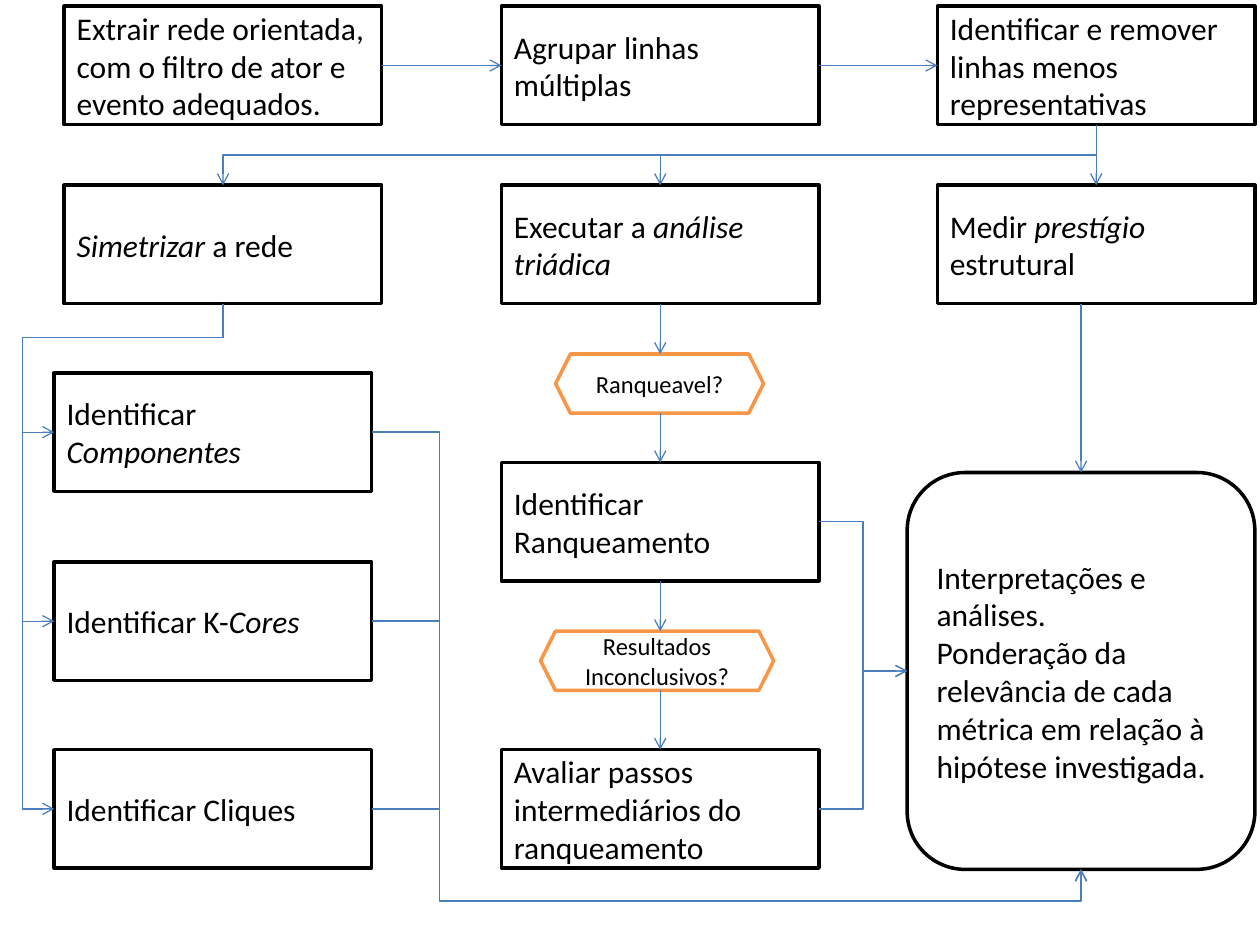
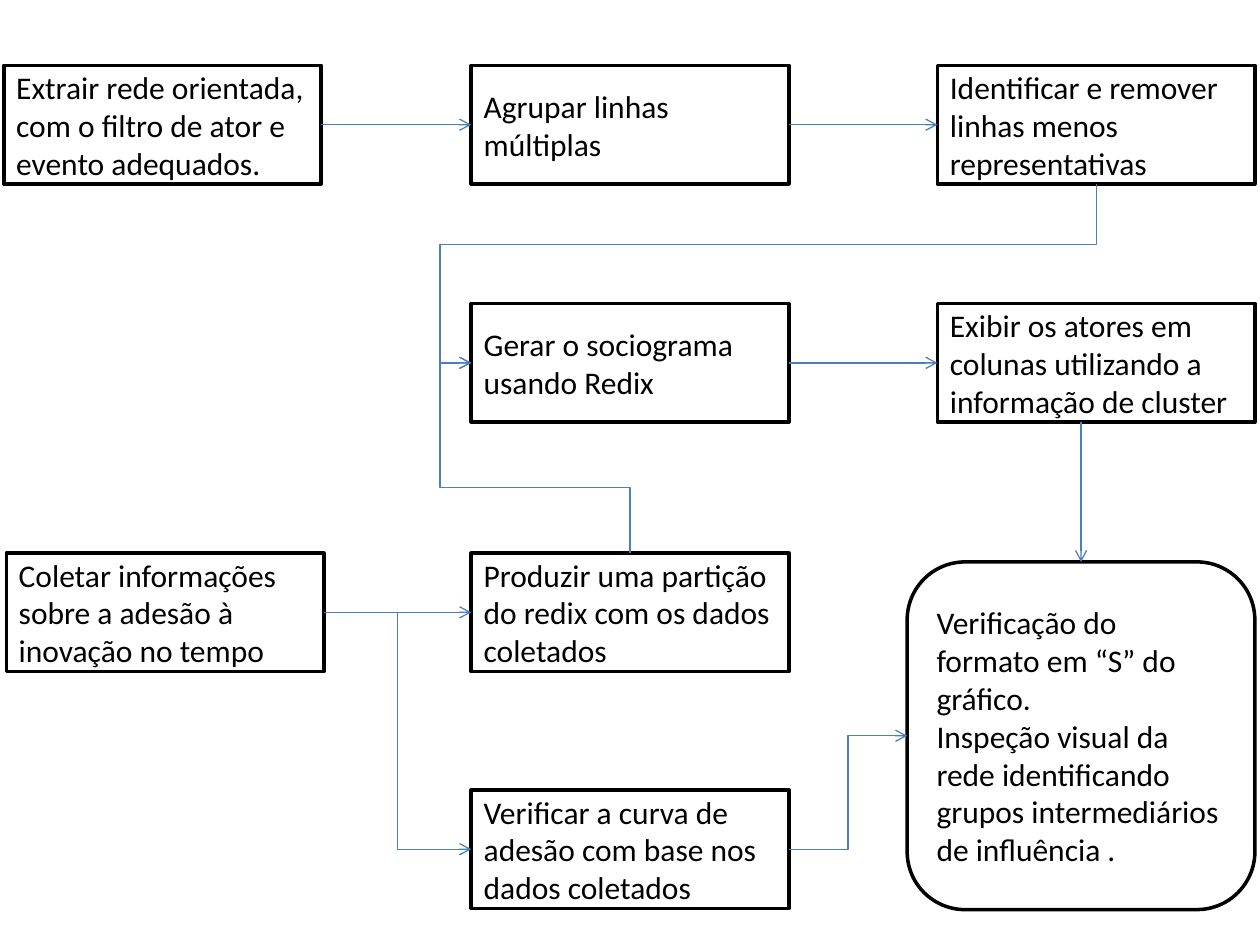
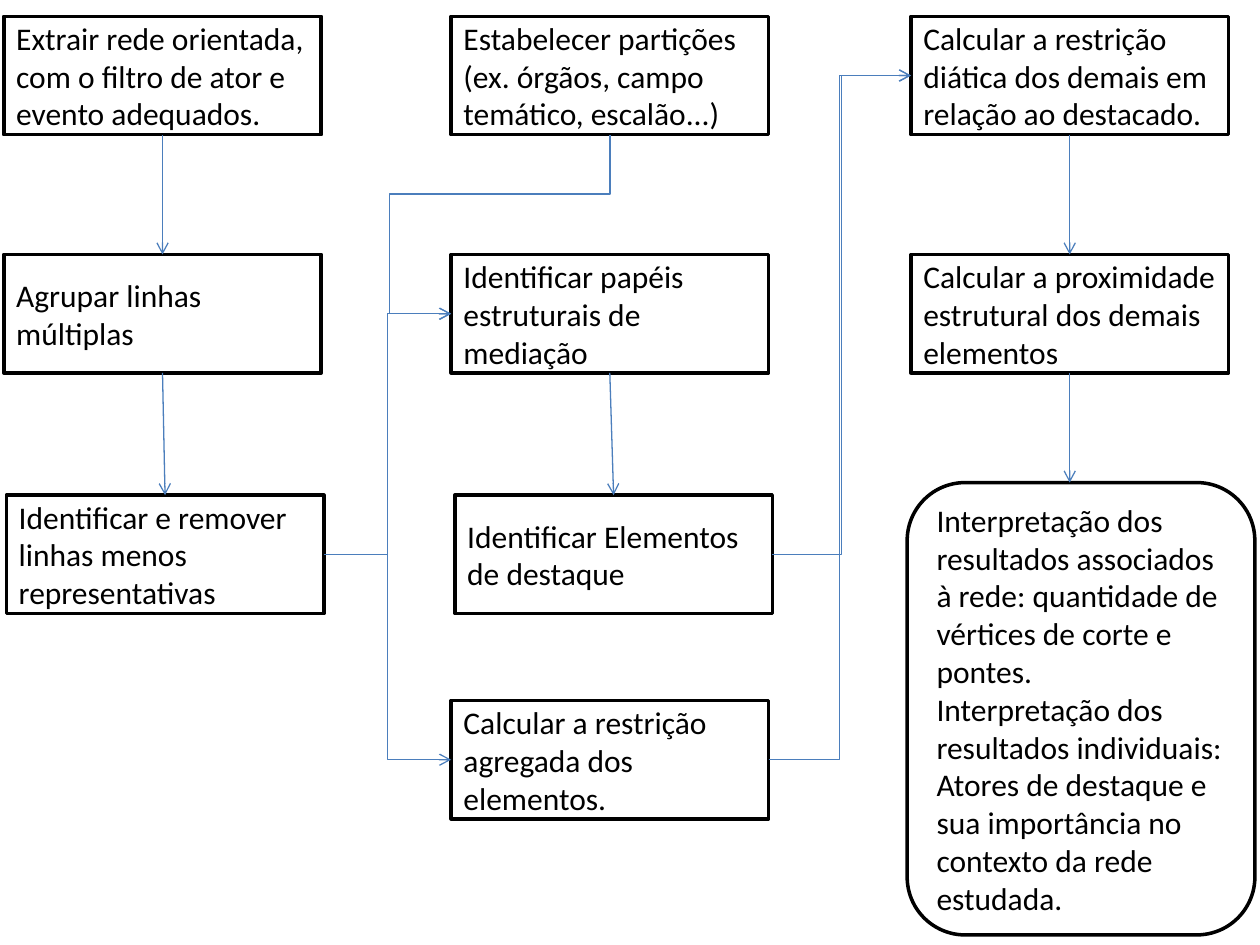
from dataclasses import dataclass
from enum import IntEnum
from typing import Optional

from lxml import etree
from pptx import Presentation
from pptx.dml.color import RGBColor
from pptx.enum import shapes, text
from pptx.oxml.ns import qn
from pptx.util import Inches, Pt

COLORS = {"paper": "FFFFFF", "ink": "000000", "question": "F79646", "arrow": "4B7EBC"}
FONT = "Calibri"
STEP_WIDTH, STEP_HEIGHT = 2.52, 0.94
EXTRACT = "Extrair rede orientada, com o filtro de ator e evento adequados."
GROUP = "Agrupar linhas múltiplas "
PRUNE = "Identificar e remover linhas menos representativas"


class Side(IntEnum):
    TOP = 0
    LEFT = 1
    BOTTOM = 2
    RIGHT = 3


TOP, LEFT, BOTTOM, RIGHT = Side


@dataclass(frozen=True)
class Node:
    left: float
    top: float
    wording: str
    width: float = STEP_WIDTH
    height: float = STEP_HEIGHT
    outline: shapes.MSO_SHAPE = shapes.MSO_SHAPE.RECTANGLE
    border: str = "ink"
    size: int = 18
    align: text.PP_ALIGN = text.PP_ALIGN.LEFT

    @property
    def is_question(self) -> bool:
        return self.outline == shapes.MSO_SHAPE.HEXAGON

    def anchor(self, side: Side) -> tuple[float, float]:
        middle, centre = self.left + self.width / 2, self.top + self.height / 2
        return {
            TOP: (middle, self.top),
            LEFT: (self.left, centre),
            BOTTOM: (middle, self.top + self.height),
            RIGHT: (self.left + self.width, centre),
        }[side]


@dataclass(frozen=True)
class Link:
    source: str
    target: str
    leaves: Side = BOTTOM
    enters: Side = TOP
    lanes: Optional[tuple[float, ...]] = None
    plumb: Optional[float] = None


@dataclass(frozen=True)
class Flow:
    nodes: dict[str, Node]
    links: list[Link]


def question(left: float, top: float, width: float, wording: str) -> Node:
    return Node(left, top, wording, width, 0.47, shapes.MSO_SHAPE.HEXAGON,
                "question", 14, text.PP_ALIGN.CENTER)


def conclusion(top: float, height: float, wording: str) -> Node:
    return Node(7.2, top, wording, 2.76, height, shapes.MSO_SHAPE.ROUNDED_RECTANGLE)


def rgb(name: str) -> RGBColor:
    return RGBColor.from_string(COLORS[name])


def draw_node(slide, node: Node):
    shape = slide.shapes.add_shape(node.outline, Inches(node.left), Inches(node.top),
                                   Inches(node.width), Inches(node.height))
    shape.shadow.inherit = False
    shape.fill.solid()
    shape.fill.fore_color.rgb = rgb("paper")
    shape.line.color.rgb = rgb(node.border)
    shape.line.width = Pt(2)
    frame = shape.text_frame
    frame.word_wrap = True
    frame.vertical_anchor = text.MSO_ANCHOR.MIDDLE
    for index, sentence in enumerate(node.wording.split("\n")):
        paragraph = frame.add_paragraph() if index else frame.paragraphs[0]
        paragraph.alignment = node.align
        for part, words in enumerate(sentence.split("*")):
            if words:
                run = paragraph.add_run()
                run.text = words
                run.font.name = FONT
                run.font.size = Pt(node.size)
                run.font.italic = part % 2 == 1
                run.font.color.rgb = rgb("ink")
    return shape


def bend(connector, start: tuple[float, float], end: tuple[float, float],
         vertical: bool, lanes: tuple[float, ...]) -> None:
    dx, dy = end[0] - start[0], end[1] - start[1]
    along, across = (abs(dy), abs(dx)) if vertical else (abs(dx), abs(dy))
    connector.left = Inches((start[0] + end[0] - along) / 2)
    connector.top = Inches((start[1] + end[1] - across) / 2)
    connector.width, connector.height = Inches(along), Inches(across)

    properties = connector._element.spPr
    frame = properties.find(qn("a:xfrm"))
    for attribute in ("flipH", "flipV", "rot"):
        frame.attrib.pop(attribute, None)
    if vertical:
        frame.set("rot", str((90 if dy > 0 else 270) * 60000))
    if (dx * dy > 0) if vertical else dy < 0:
        frame.set("flipV", "1")

    geometry = properties.find(qn("a:prstGeom"))
    geometry.set("prst", f"bentConnector{max(3, len(lanes) + 2)}")
    guides = geometry.find(qn("a:avLst"))
    if guides is None:
        guides = etree.SubElement(geometry, qn("a:avLst"))
    for index, lane in enumerate(lanes):
        axis = (index + vertical) % 2
        share = (lane - start[axis]) / (end[axis] - start[axis])
        etree.SubElement(guides, qn("a:gd"), name=f"adj{index + 1}",
                         fmla=f"val {round(share * 100000)}")


def draw_link(slide, link: Link, flow: Flow, drawn: dict) -> None:
    source, target = flow.nodes[link.source], flow.nodes[link.target]
    start, end = source.anchor(link.leaves), target.anchor(link.enters)
    if link.plumb is not None:
        start, end = (link.plumb, start[1]), (link.plumb, end[1])
    kind = shapes.MSO_CONNECTOR
    connector = slide.shapes.add_connector(
        kind.STRAIGHT if link.lanes is None else kind.ELBOW,
        *(Inches(value) for value in start + end))
    if link.plumb is None and not (source.is_question or target.is_question):
        connector.begin_connect(drawn[link.source], int(link.leaves))
        connector.end_connect(drawn[link.target], int(link.enters))
    if link.lanes is not None:
        bend(connector, start, end, link.leaves in (TOP, BOTTOM), link.lanes)
    connector.line.color.rgb = rgb("arrow")
    connector.line.width = Pt(0.75)
    properties = connector._element.spPr
    etree.SubElement(properties.find(qn("a:ln")), qn("a:tailEnd"), type="arrow")
    etree.SubElement(properties, qn("a:effectLst"))


def draw_flow(deck, flow: Flow) -> None:
    slide = deck.slides.add_slide(deck.slide_layouts[6])
    drawn = {key: draw_node(slide, node) for key, node in flow.nodes.items()}
    for link in flow.links:
        draw_link(slide, link, flow, drawn)


def metrics_flow() -> Flow:
    first, second, third = 0.51, 3.98, 7.44
    opening, analysis = 0.05, 1.47
    inset, axis = 0.43, second + STEP_WIDTH / 2
    components, cores, cliques = 2.96, 4.46, 5.95
    nodes = {
        "extract": Node(first, opening, EXTRACT),
        "group": Node(second, opening, GROUP),
        "prune": Node(third, opening, PRUNE),
        "symmetrize": Node(first, analysis, "*Simetrizar* a rede"),
        "triads": Node(second, analysis, "Executar a *análise triádica*"),
        "prestige": Node(third, analysis, "Medir *prestígio* estrutural"),
        "rankable": question(4.41, 2.81, 1.65, "Ranqueavel?"),
        "ranking": Node(second, 3.67, "Identificar Ranqueamento"),
        "inconclusive": question(4.29, 5.01, 1.85, "Resultados Inconclusivos?"),
        "steps": Node(second, cliques, "Avaliar passos intermediários do ranqueamento"),
        "components": Node(inset, components, "Identificar *Componentes*"),
        "cores": Node(inset, cores, "Identificar K-*Cores*"),
        "cliques": Node(inset, cliques, "Identificar Cliques"),
        "interpretation": conclusion(
            3.75, 3.15, "Interpretações e análises.\nPonderação da relevância de cada "
            "métrica em relação à hipótese investigada."),
    }
    links = [
        Link("extract", "group", RIGHT, LEFT),
        Link("group", "prune", RIGHT, LEFT),
        Link("prune", "symmetrize", lanes=()),
        Link("prune", "triads", lanes=()),
        Link("prune", "prestige"),
        Link("prestige", "interpretation", plumb=8.58),
        Link("ranking", "interpretation", RIGHT, LEFT, ()),
        Link("steps", "interpretation", RIGHT, LEFT, ()),
    ]
    for part in ("components", "cores", "cliques"):
        links.append(Link("symmetrize", part, BOTTOM, LEFT, (2.68, 0.18)))
        links.append(Link(part, "interpretation", RIGHT, BOTTOM, (3.49, 7.15)))
    chain = ("triads", "rankable", "ranking", "inconclusive", "steps")
    links += [Link(upper, lower, plumb=axis) for upper, lower in zip(chain, chain[1:])]
    return Flow(nodes, links)


def adoption_flow() -> Flow:
    first, second, third = 0.03, 3.74, 7.44
    opening, drawing, collecting = 0.52, 2.41, 4.39
    nodes = {
        "extract": Node(first, opening, EXTRACT),
        "group": Node(second, opening, GROUP),
        "prune": Node(third, opening, PRUNE),
        "collect": Node(0.05, collecting,
                        "Coletar informações sobre a adesão à inovação no tempo"),
        "curve": Node(second, 6.27,
                      "Verificar a curva de adesão com base nos dados coletados"),
        "partition": Node(second, collecting,
                          "Produzir uma partição do redix com os dados coletados"),
        "sociogram": Node(second, drawing, "Gerar o sociograma usando Redix"),
        "columns": Node(third, drawing,
                        "Exibir os atores em colunas utilizando a informação de cluster"),
        "verification": conclusion(
            4.46, 2.76, "Verificação do formato em “S” do gráfico.\nInspeção visual da "
            "rede identificando grupos intermediários de influência ."),
    }
    links = [
        Link("extract", "group", RIGHT, LEFT),
        Link("group", "prune", RIGHT, LEFT),
        Link("prune", "sociogram", BOTTOM, LEFT, (1.94, 3.49)),
        Link("partition", "sociogram", TOP, LEFT, (3.87, 3.49)),
        Link("collect", "partition", RIGHT, LEFT),
        Link("collect", "curve", RIGHT, LEFT, ()),
        Link("sociogram", "columns", RIGHT, LEFT),
        Link("columns", "verification", plumb=8.58),
        Link("curve", "verification", RIGHT, LEFT, ()),
    ]
    return Flow(nodes, links)


def mediation_flow() -> Flow:
    first, second, third = 0.03, 3.58, 7.23
    upper, middle, lower = 0.13, 2.02, 3.93
    nodes = {
        "extract": Node(first, upper, EXTRACT),
        "group": Node(first, middle, GROUP),
        "prune": Node(0.05, lower, PRUNE),
        "aggregate": Node(second, 5.56, "Calcular a restrição agregada dos elementos."),
        "partitions": Node(second, upper,
                           "Estabelecer partições (ex. órgãos, campo temático, escalão...)"),
        "roles": Node(second, middle, "Identificar papéis estruturais de mediação"),
        "standouts": Node(3.61, lower, "Identificar Elementos de destaque"),
        "dyadic": Node(third, upper,
                       "Calcular a restrição diática dos demais em relação ao destacado."),
        "proximity": Node(third, middle,
                          "Calcular a proximidade estrutural dos demais elementos"),
        "interpretation": conclusion(
            3.83, 3.59, "Interpretação dos resultados associados à rede: quantidade de "
            "vértices de corte e pontes.\nInterpretação dos resultados individuais: "
            "Atores de destaque e sua importância no contexto da rede estudada."),
    }
    links = [
        Link("partitions", "roles", BOTTOM, LEFT, (1.54, 3.09)),
        Link("extract", "group"),
        Link("group", "prune"),
        Link("prune", "roles", RIGHT, LEFT, ()),
        Link("prune", "aggregate", RIGHT, LEFT, ()),
        Link("roles", "standouts"),
        Link("standouts", "dyadic", RIGHT, LEFT, ()),
        Link("aggregate", "dyadic", RIGHT, LEFT, ()),
        Link("dyadic", "proximity"),
        Link("proximity", "interpretation", plumb=8.49),
    ]
    return Flow(nodes, links)


def main() -> None:
    deck = Presentation()
    deck.slide_width, deck.slide_height = Inches(10), Inches(7.5)
    for flow in (metrics_flow(), adoption_flow(), mediation_flow()):
        draw_flow(deck, flow)
    deck.save("out.pptx")


main()
